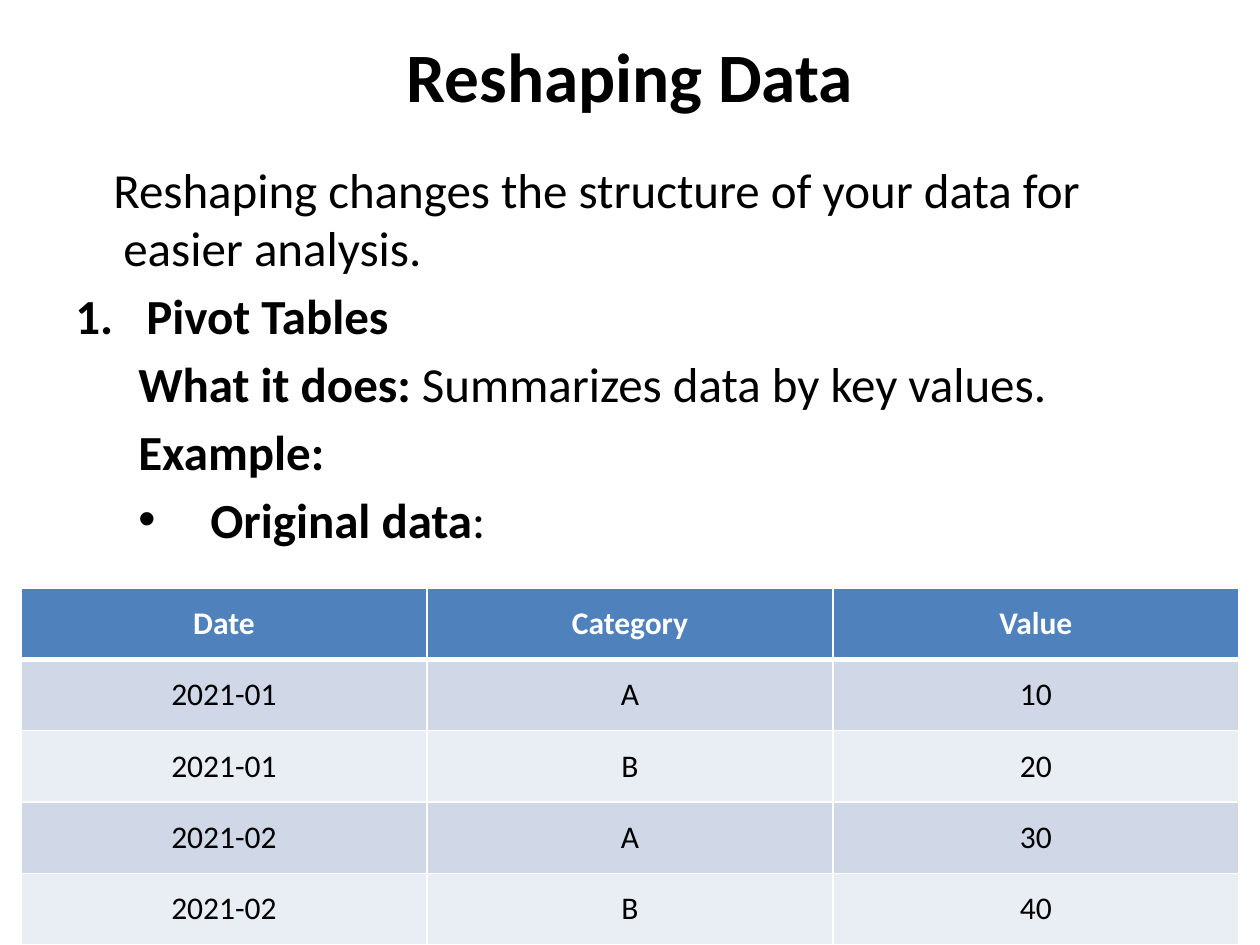
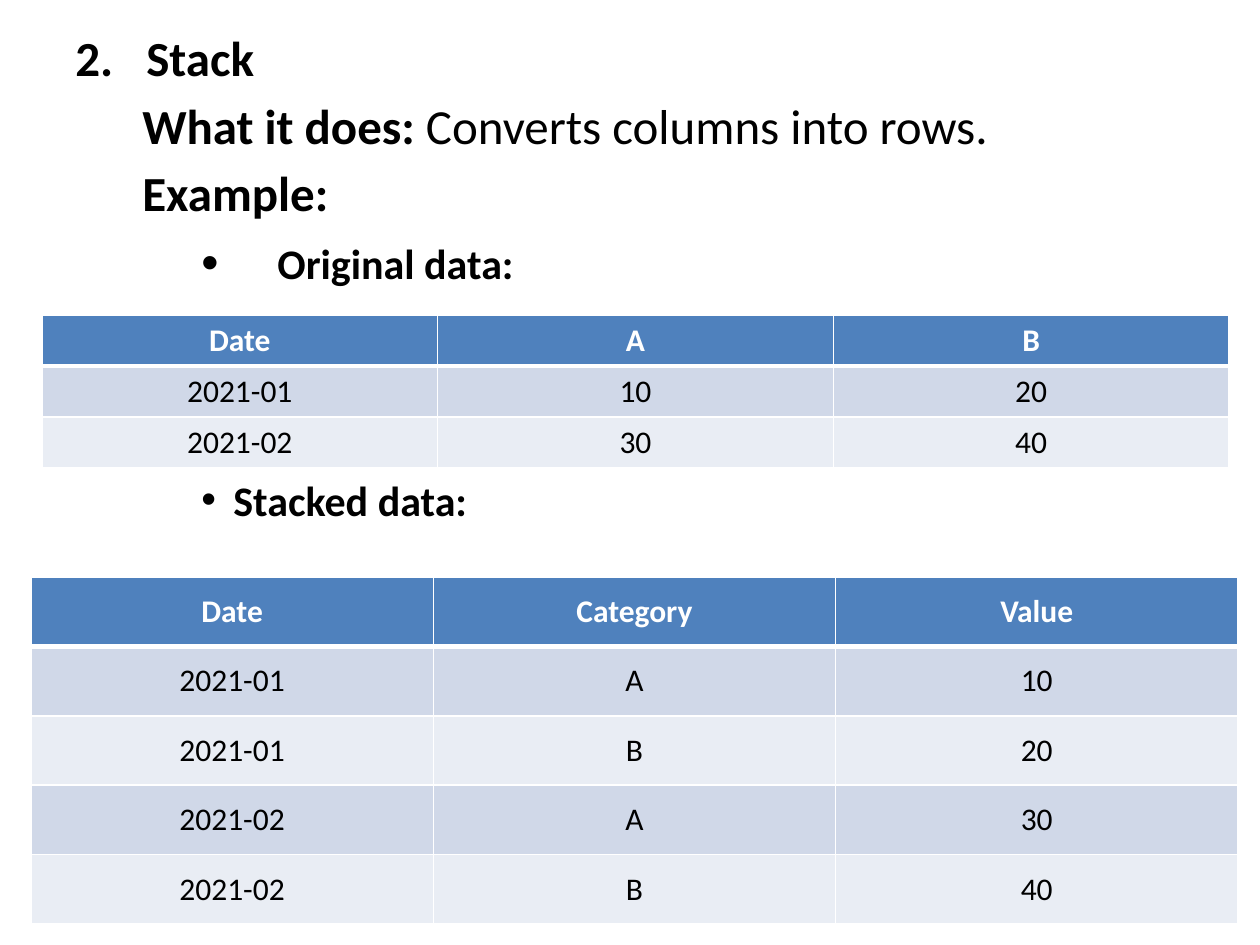
from dataclasses import dataclass

from lxml import etree
from pptx import Presentation
from pptx.dml.color import RGBColor
from pptx.enum.text import MSO_ANCHOR, PP_ALIGN
from pptx.oxml.ns import qn
from pptx.util import Emu, Pt

CENTER, LEFT = PP_ALIGN.CENTER, PP_ALIGN.LEFT
MIDDLE, TOP = MSO_ANCHOR.MIDDLE, MSO_ANCHOR.TOP

PX_PER_INCH = 126
FONT = "Calibri"
COLORS = {
    "text": "000000",
    "header": "4F81BD",
    "header_text": "FFFFFF",
    "odd_row": "D0D8E8",
    "even_row": "E9EDF4",
    "grid": "FFFFFF",
}
TITLE_SIZE, BODY_SIZE, SUB_SIZE, TABLE_SIZE = 39.6, 28, 24, 18
LINE_GAP = 9


@dataclass(frozen=True)
class Area:
    left: int
    top: int
    width: int
    height: int


@dataclass(frozen=True)
class Span:
    text: str
    bold: bool = True


@dataclass(frozen=True)
class Line:
    """A paragraph; margin, indent and gap are px, number starts a numbered list."""
    spans: tuple[Span, ...]
    margin: int = 0
    indent: int = 0
    gap: int = LINE_GAP
    size: float = BODY_SIZE
    number: int = 0
    bullet: bool = False
    bullet_percent: int = 100
    align: PP_ALIGN = LEFT


@dataclass(frozen=True)
class Grid:
    area: Area
    rows: tuple[tuple[str, ...], ...]


def px(length: float) -> Emu:
    return Emu(round(length * 914400 / PX_PER_INCH))


def color(name: str) -> RGBColor:
    return RGBColor.from_string(COLORS[name])


def add_marker(para, line: Line) -> None:
    """Set the hanging indent and the bullet or number of a paragraph."""
    properties = para._p.get_or_add_pPr()
    properties.set("marL", str(px(line.margin)))
    properties.set("indent", str(px(line.indent)))
    if line.number:
        etree.SubElement(properties, qn("a:buAutoNum"),
                         type="arabicPeriod", startAt=str(line.number))
    elif line.bullet:
        etree.SubElement(properties, qn("a:buSzPct"), val=str(line.bullet_percent * 1000))
        etree.SubElement(properties, qn("a:buFont"), typeface="Arial")
        etree.SubElement(properties, qn("a:buChar"), char="•")
    else:
        etree.SubElement(properties, qn("a:buNone"))


def style_font(font, size: float, color_name: str) -> None:
    font.name = FONT
    font.size = Pt(size)
    font.color.rgb = color(color_name)


def add_text(page, area: Area, lines: tuple[Line, ...], anchor: MSO_ANCHOR = TOP) -> None:
    box = page.shapes.add_textbox(px(area.left), px(area.top), px(area.width), px(area.height))
    frame = box.text_frame
    frame.word_wrap = True
    frame.vertical_anchor = anchor
    for index, line in enumerate(lines):
        para = frame.add_paragraph() if index else frame.paragraphs[0]
        add_marker(para, line)
        para.alignment = line.align
        if index:
            para.space_before = px(line.gap)
        style_font(para.font, line.size, "text")
        for span in line.spans:
            run = para.add_run()
            run.text = span.text
            run.font.bold = span.bold


def add_borders(cell, row: int) -> None:
    """Draw the white grid, with a thick rule under the header row."""
    properties = cell._tc.get_or_add_tcPr()
    widths = {"L": 1, "R": 1, "T": 3 if row == 1 else 1, "B": 3 if row == 0 else 1}
    for side, width in widths.items():
        edge = etree.SubElement(properties, qn(f"a:ln{side}"), w=str(Pt(width)))
        fill = etree.SubElement(edge, qn("a:solidFill"))
        etree.SubElement(fill, qn("a:srgbClr"), val=COLORS["grid"])


def add_grid(page, grid: Grid) -> None:
    area, row_count, column_count = grid.area, len(grid.rows), len(grid.rows[0])
    table = page.shapes.add_table(row_count, column_count, px(area.left), px(area.top),
                                  px(area.width), px(area.height)).table
    table.horz_banding = False
    for column in table.columns:
        column.width = px(area.width / column_count)
    for row, texts in enumerate(grid.rows):
        table.rows[row].height = px(area.height / row_count)
        is_header = row == 0
        fill_name = "header" if is_header else "odd_row" if row % 2 else "even_row"
        for column, text in enumerate(texts):
            cell = table.cell(row, column)
            add_borders(cell, row)
            cell.fill.solid()
            cell.fill.fore_color.rgb = color(fill_name)
            cell.vertical_anchor = MIDDLE
            cell.text = text
            para = cell.text_frame.paragraphs[0]
            para.alignment = CENTER
            style_font(para.font, TABLE_SIZE, "header_text" if is_header else "text")
            para.font.bold = is_header


def topic(number: int, name: str, purpose: str, margin: int) -> tuple[Line, ...]:
    """The numbered heading, purpose and example label that open each topic."""
    return (
        Line((Span(name),), margin=71, indent=-71, number=number),
        Line((Span("What it does:"), Span(" " + purpose, False)), margin=margin),
        Line((Span("Example:"),), margin=margin),
    )


LONG_ROWS = (
    ("Date", "Category", "Value"),
    ("2021-01", "A", "10"),
    ("2021-01", "B", "20"),
    ("2021-02", "A", "30"),
    ("2021-02", "B", "40"),
)
WIDE_ROWS = (
    ("Date", "A", "B"),
    ("2021-01", "10", "20"),
    ("2021-02", "30", "40"),
)


def build_pivot_page(page) -> None:
    title = Line((Span("Reshaping Data"),), size=TITLE_SIZE, align=CENTER)
    add_text(page, Area(63, 25, 1134, 100), (title,), MIDDLE)
    intro = "Reshaping changes the structure of your data for easier analysis."
    add_text(page, Area(63, 153, 1134, 691), (
        Line((Span(intro, False),), margin=48, indent=-10),
        *topic(1, "Pivot Tables", "Summarizes data by key values.", 63),
        Line((Span("Original data"), Span(":", False)), margin=135, indent=-72, bullet=True),
    ))
    add_grid(page, Grid(Area(21, 588, 1218, 357), LONG_ROWS))


def build_stack_page(page) -> None:
    add_text(page, Area(63, 21, 1134, 823), (
        *topic(2, "Stack", "Converts columns into rows.", 67),
        Line((Span("Original data:"),), margin=202, indent=-76, gap=16,
             size=SUB_SIZE, bullet=True, bullet_percent=117),
        Line((Span("Stacked data:"),), margin=158, indent=-32, gap=186,
             size=SUB_SIZE, bullet=True),
    ))
    add_grid(page, Grid(Area(42, 315, 1187, 153), WIDE_ROWS))
    add_grid(page, Grid(Area(31, 577, 1207, 347), LONG_ROWS))


def main() -> None:
    deck = Presentation()
    deck.slide_width, deck.slide_height = px(1260), px(945)
    blank = deck.slide_layouts[6]
    for build_page in (build_pivot_page, build_stack_page):
        build_page(deck.slides.add_slide(blank))
    deck.save("out.pptx")


if __name__ == "__main__":
    main()
